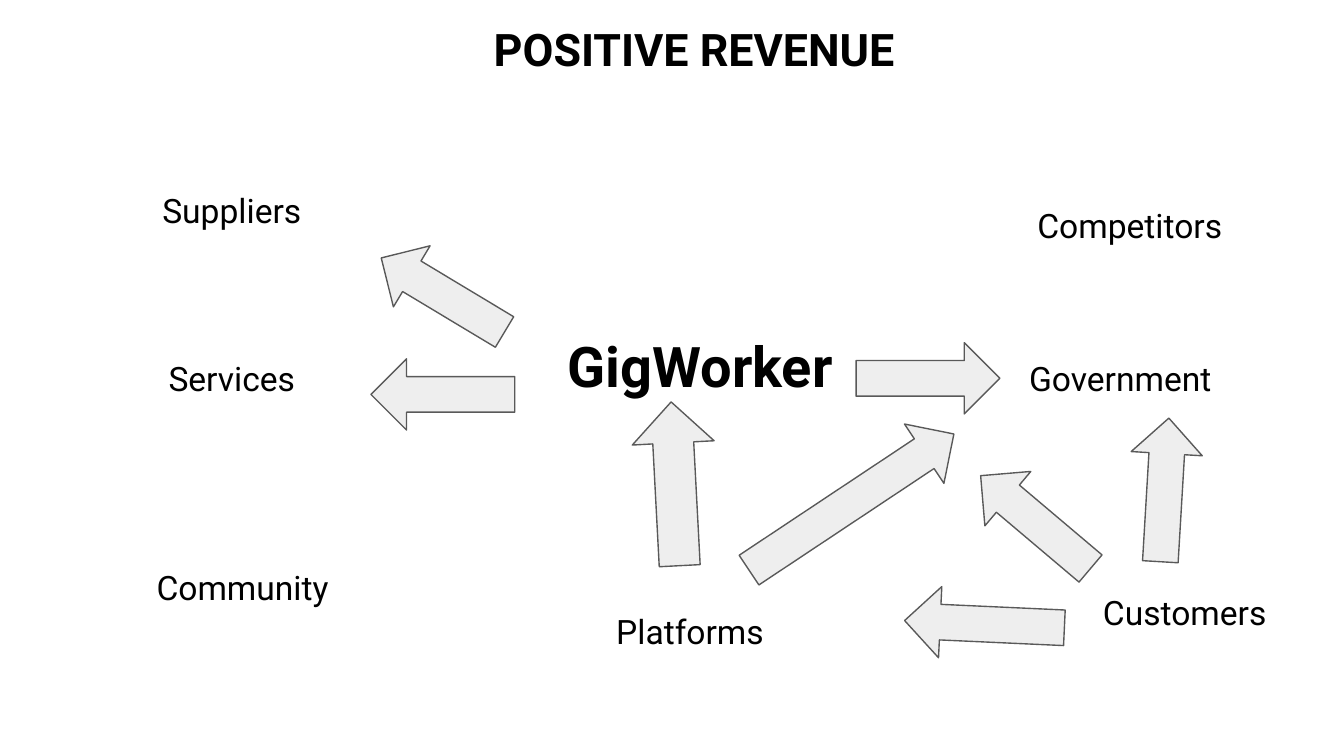
from dataclasses import dataclass

from pptx import Presentation
from pptx.dml.color import RGBColor
from pptx.enum.shapes import MSO_SHAPE as Preset
from pptx.enum.text import MSO_ANCHOR as Anchor, PP_ALIGN as Align
from pptx.slide import Slide
from pptx.util import Inches, Pt

COLOURS = {"text": "000000", "arrow": "EEEEEE", "outline": "595959"}
FONT = "Roboto"
CELL = 0.1
COLUMNS, ROWS = 100, 56.25
LABEL_WIDTH, LABEL_HEIGHT = 17.9, 5.7
ARROW_WIDTH, ARROW_LENGTH = 5.3, 10.7


@dataclass(frozen=True)
class Label:
    text: str
    column: float
    row: float
    columns: float = LABEL_WIDTH
    rows: float = LABEL_HEIGHT
    size: int = 18
    bold: bool = False
    indent: float = 0


@dataclass(frozen=True)
class Arrow:
    column: float
    row: float
    rotation: float
    columns: float = ARROW_WIDTH
    rows: float = ARROW_LENGTH


LABELS = [
    Label("GigWorker", 40.8, 23.4, 22.6, 7.5, size=30, bold=True),
    Label("POSITIVE REVENUE", 33.5, 0.8, 36.3, size=24, bold=True),
    Label("Government", 74.4, 25.3),
    Label("Platforms ", 42.7, 44.1),
    Label("Services", 8.3, 25.3),
    Label("Suppliers", 8.3, 12.8),
    Label("Competitors", 71.2, 13.9, 21.1, indent=5),
    Label("Customers", 79.2, 42.7),
    Label("Community", 9.1, 40.8),
]

ARROWS = [
    Arrow(74.4, 33.5, 130.2),
    Arrow(30.3, 16.6, 121),
    Arrow(70.6, 40.5, 92.6, rows=11.9),
    Arrow(30.3, 24, 90),
    Arrow(84, 31.1, 183.4),
    Arrow(66.4, 22.8, 270),
    Arrow(60.7, 28.2, 236.4, rows=18.3),
    Arrow(47.2, 29.9, 177, columns=6.1, rows=12.2),
]


def cells(count: float) -> int:
    return Inches(round(count * CELL, 4))


def colour(name: str) -> RGBColor:
    return RGBColor.from_string(COLOURS[name])


def frame(item: Label | Arrow) -> list[int]:
    return [cells(n) for n in (item.column, item.row, item.columns, item.rows)]


def draw_label(page: Slide, label: Label) -> None:
    box = page.shapes.add_textbox(*frame(label))
    text = box.text_frame
    text.word_wrap = True
    text.vertical_anchor = Anchor.MIDDLE
    text.margin_left = text.margin_right = cells(1)
    text.margin_top = text.margin_bottom = cells(1)
    para = text.paragraphs[0]
    if label.indent:
        para.alignment = Align.LEFT
        properties = para._p.get_or_add_pPr()
        properties.set("marL", str(cells(label.indent)))
        properties.set("indent", "0")
    else:
        para.alignment = Align.CENTER
    span = para.add_run()
    span.text = label.text
    span.font.name = FONT
    span.font.size = Pt(label.size)
    span.font.bold = label.bold
    span.font.color.rgb = colour("text")


def draw_arrow(page: Slide, arrow: Arrow) -> None:
    shape = page.shapes.add_shape(Preset.DOWN_ARROW, *frame(arrow))
    shape.rotation = arrow.rotation
    shape.shadow.inherit = False
    shape.fill.solid()
    shape.fill.fore_color.rgb = colour("arrow")
    shape.line.color.rgb = colour("outline")
    shape.line.width = Pt(0.75)


def main() -> None:
    deck = Presentation()
    deck.slide_width, deck.slide_height = cells(COLUMNS), cells(ROWS)
    page = deck.slides.add_slide(deck.slide_layouts[6])
    for label in LABELS:
        draw_label(page, label)
    for arrow in ARROWS:
        draw_arrow(page, arrow)
    deck.save("out.pptx")


if __name__ == "__main__":
    main()
